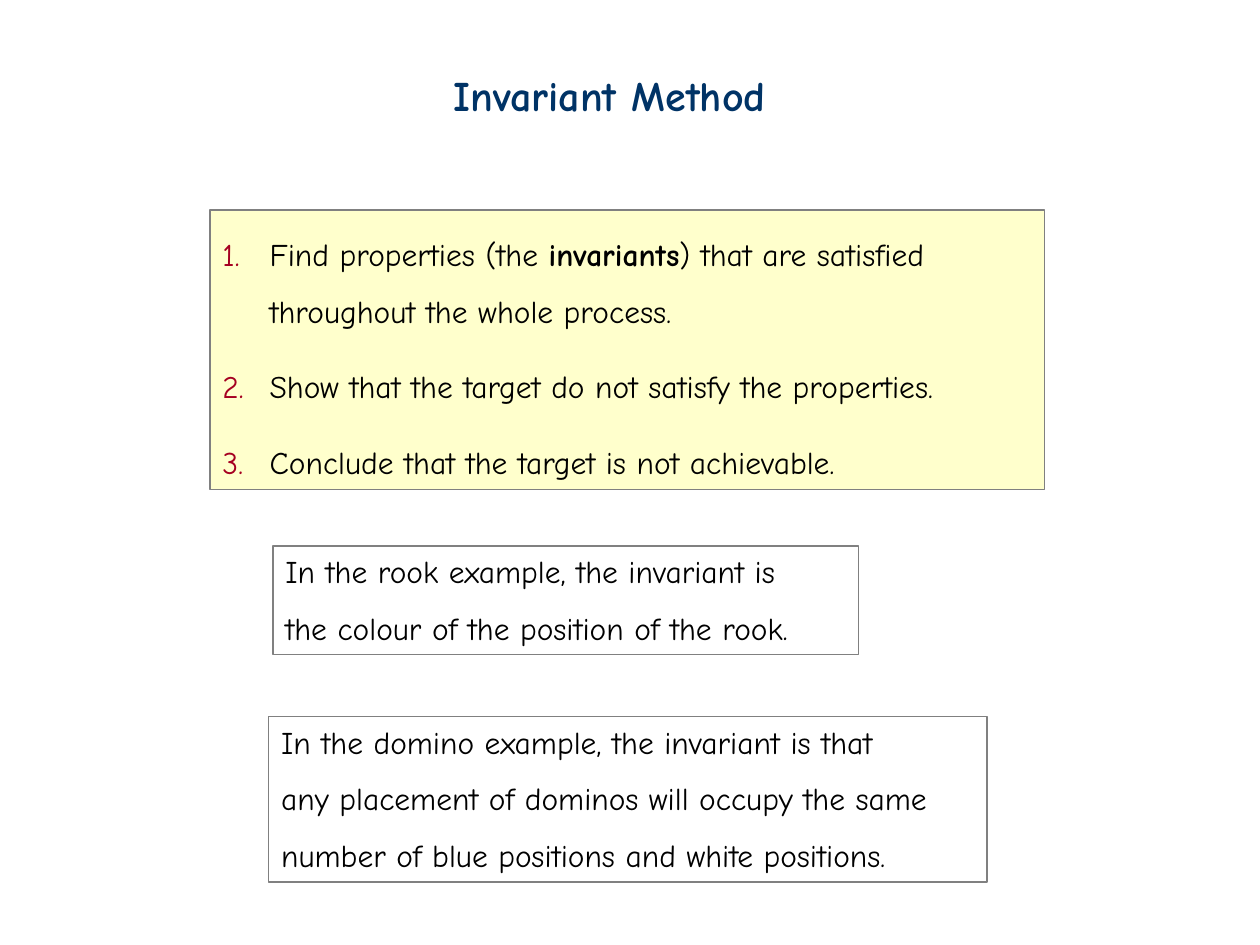
import pptx
import pptx.dml.color
import pptx.enum.shapes
import pptx.enum.text
import pptx.util
from lxml import etree
from pptx.oxml.ns import qn

Pt = pptx.util.Pt
FONT = "Comic Neue"
COLORS = {
    "title": "003366",
    "text": "000000",
    "number": "A50021",
    "panel": "FFFFCC",
    "border": "808080",
}


def rgb(name):
    return pptx.dml.color.RGBColor.from_string(COLORS[name])


def style_font(paragraph, size, color):
    paragraph.font.name = FONT
    paragraph.font.size = Pt(size)
    paragraph.font.color.rgb = rgb(color)


def number_paragraph(paragraph, indent):
    properties = paragraph._p.get_or_add_pPr()
    properties.set("marL", str(Pt(indent)))
    properties.set("indent", str(-Pt(indent)))
    color = etree.SubElement(properties, qn("a:buClr"))
    etree.SubElement(color, qn("a:srgbClr"), val=COLORS["number"])
    etree.SubElement(properties, qn("a:buFont"), typeface="+mj-lt")
    etree.SubElement(properties, qn("a:buAutoNum"), type="arabicPeriod")


def add_title(slide, box, text):
    shape = slide.shapes.add_textbox(*map(Pt, box))
    shape.text_frame.word_wrap = False
    paragraph = shape.text_frame.paragraphs[0]
    paragraph.text = text
    style_font(paragraph, 24, "title")
    paragraph.font.bold = True


def add_panel(slide, box, fill=None):
    shape = slide.shapes.add_shape(
        pptx.enum.shapes.MSO_SHAPE.RECTANGLE, *map(Pt, box))
    shape.shadow.inherit = False
    if fill:
        shape.fill.solid()
        shape.fill.fore_color.rgb = rgb(fill)
    else:
        shape.fill.background()
    shape.line.color.rgb = rgb("border")
    shape.line.width = Pt(0.75)
    frame = shape.text_frame
    frame.word_wrap = True
    frame.vertical_anchor = pptx.enum.text.MSO_ANCHOR.TOP
    return frame


def add_paragraph(frame, index):
    paragraph = frame.add_paragraph() if index else frame.paragraphs[0]
    paragraph.alignment = pptx.enum.text.PP_ALIGN.LEFT
    return paragraph


def add_steps(slide, box, steps):
    frame = add_panel(slide, box, "panel")
    for index, parts in enumerate(steps):
        paragraph = add_paragraph(frame, index)
        if index:
            paragraph.space_before = Pt(21.6)
        else:
            paragraph.line_spacing = 1.5
        number_paragraph(paragraph, 27)
        style_font(paragraph, 18, "text")
        for text, bold in parts:
            run = paragraph.add_run()
            run.text = text
            if bold:
                run.font.bold = True


def add_example(slide, box, lines):
    frame = add_panel(slide, box)
    for index, line in enumerate(lines):
        paragraph = add_paragraph(frame, index)
        paragraph.text = line
        if index:
            paragraph.line_spacing = 1.5
        style_font(paragraph, 18, "text")


def main():
    presentation = pptx.Presentation()
    presentation.slide_width = Pt(720)
    presentation.slide_height = Pt(540)
    slide = presentation.slides.add_slide(presentation.slide_layouts[6])

    add_title(slide, (252, 36, 217.5, 36), "Invariant Method")
    add_steps(slide, (120, 120, 477, 159.6), [
        [("Find properties (the ", False), ("invariants", True),
         (") that are satisfied throughout the whole process.", False)],
        [("Show that the target do not satisfy the properties.", False)],
        [("Conclude that the target is not achievable.", False)],
    ])
    add_example(slide, (156, 312, 334.8, 62), [
        "In the rook example, the invariant is",
        "the colour of the position of the rook.",
    ])
    add_example(slide, (153.6, 409.5, 410.4, 94.5), [
        "In the domino example, the invariant is that",
        "any placement of dominos will occupy the same",
        "number of blue positions and white positions.",
    ])
    presentation.save("out.pptx")


if __name__ == "__main__":
    main()
